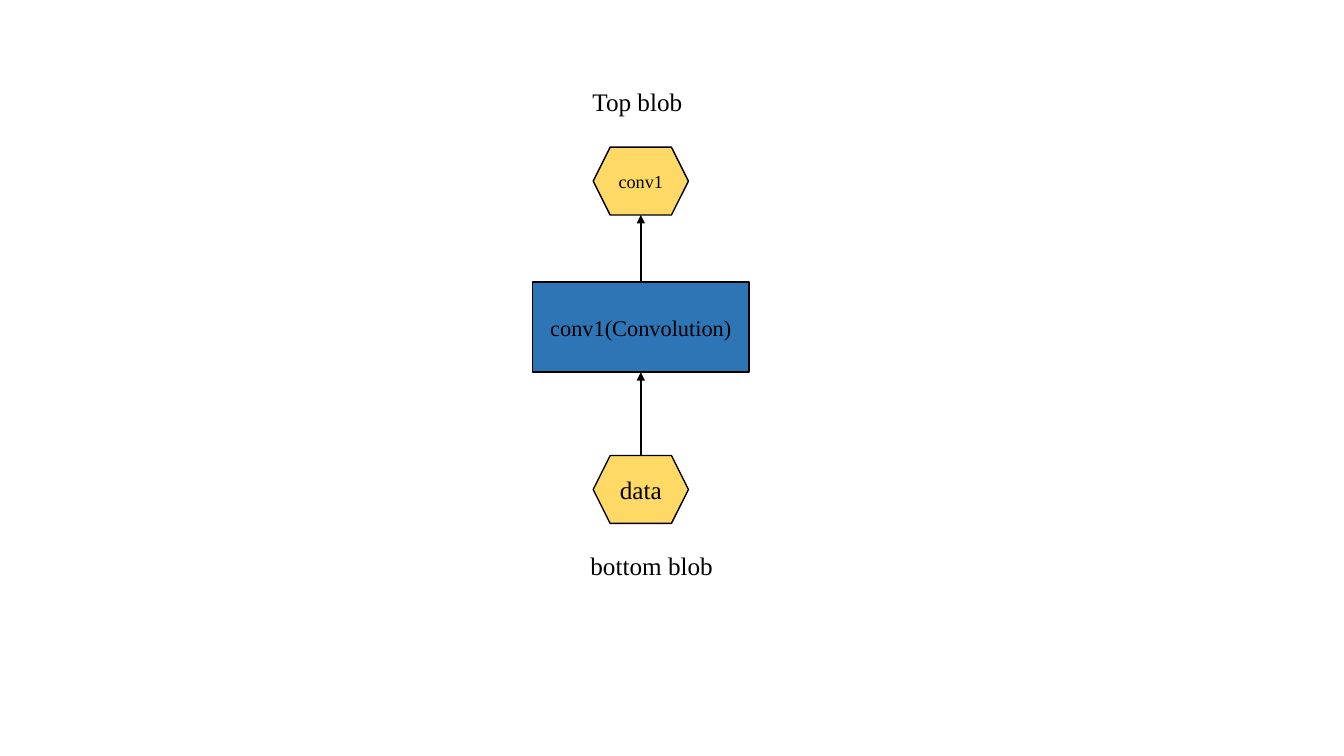
from lxml import etree
from pptx import Presentation
from pptx.dml.color import RGBColor
from pptx.enum.shapes import MSO_CONNECTOR, MSO_SHAPE
from pptx.enum.text import MSO_ANCHOR, PP_ALIGN
from pptx.oxml.ns import qn
from pptx.util import Cm, Pt

HEXAGON, RECTANGLE = MSO_SHAPE.HEXAGON, MSO_SHAPE.RECTANGLE
STRAIGHT = MSO_CONNECTOR.STRAIGHT
MIDDLE, CENTER, LEFT = MSO_ANCHOR.MIDDLE, PP_ALIGN.CENTER, PP_ALIGN.LEFT

THEME = {
    "font": "Times New Roman",
    "ink": RGBColor.from_string("000000"),
    "blob": RGBColor.from_string("FFD966"),
    "layer": RGBColor.from_string("2E75B6"),
    "large": Pt(18),
    "medium": Pt(16),
    "small": Pt(13),
    "line": Pt(1),
}


def write(shape, text, size, alignment):
    paragraph = shape.text_frame.paragraphs[0]
    paragraph.alignment = alignment
    run = paragraph.add_run()
    run.text = text
    run.font.name = THEME["font"]
    run.font.size = size
    run.font.color.rgb = THEME["ink"]


presentation = Presentation()
presentation.slide_width = Cm(33.87)
presentation.slide_height = Cm(19.05)
slide = presentation.slides.add_slide(presentation.slide_layouts[6])

# Nodes on one vertical axis, from bottom to top
axis = 16.15
nodes = [
    ("data", HEXAGON, 11.48, 2.4, 1.71, "blob", "large"),
    ("conv1(Convolution)", RECTANGLE, 7.11, 5.46, 2.27, "layer", "medium"),
    ("conv1", HEXAGON, 3.71, 2.4, 1.71, "blob", "small"),
]
for text, kind, top, width, height, fill, size in nodes:
    shape = slide.shapes.add_shape(
        kind, Cm(axis - width / 2), Cm(top), Cm(width), Cm(height))
    shape.shadow.inherit = False
    shape.fill.solid()
    shape.fill.fore_color.rgb = THEME[fill]
    shape.line.color.rgb = THEME["ink"]
    shape.line.width = THEME["line"]
    shape.text_frame.word_wrap = False
    shape.text_frame.vertical_anchor = MIDDLE
    write(shape, text, THEME[size], CENTER)

# Arrows from each node up to the next
for lower, upper in zip(nodes, nodes[1:]):
    start, end = lower[2], upper[2] + upper[4]
    arrow = slide.shapes.add_connector(
        STRAIGHT, Cm(axis), Cm(start), Cm(axis), Cm(end))
    arrow.line.color.rgb = THEME["ink"]
    arrow.line.width = THEME["line"]
    etree.SubElement(arrow.line._get_or_add_ln(), qn("a:tailEnd"), type="triangle")
    etree.SubElement(arrow._element.spPr, qn("a:effectLst"))

# Blob captions
captions = [("Top blob", 14.68, 2.06, 2.97), ("bottom blob", 14.63, 13.74, 4.27)]
for text, left, top, width in captions:
    caption = slide.shapes.add_textbox(Cm(left), Cm(top), Cm(width), Cm(1.02))
    caption.text_frame.word_wrap = True
    write(caption, text, THEME["large"], LEFT)

presentation.save("out.pptx")
